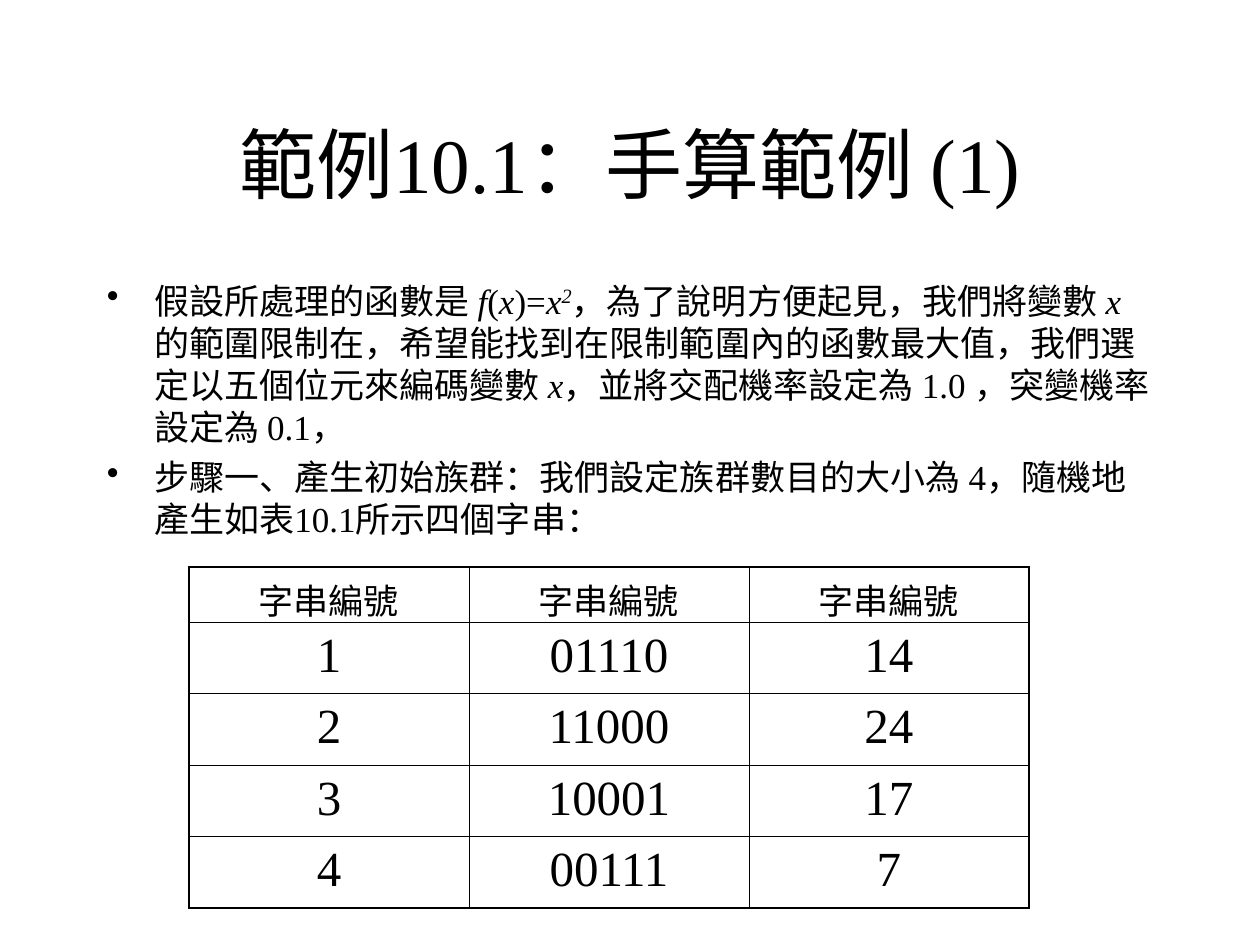
from lxml.etree import SubElement
from pptx import Presentation
from pptx.dml.color import RGBColor
from pptx.enum.text import MSO_ANCHOR, PP_ALIGN
from pptx.oxml.ns import qn
from pptx.util import Inches, Pt

BLACK = RGBColor(0, 0, 0)
WHITE = RGBColor(255, 255, 255)
FONT = "Times New Roman"
COLUMNS, ROWS = 120, 90
WIDTH, HEIGHT = Inches(10), Inches(7.5)
OUTER, INNER = Pt(1.08), Pt(0.45)

TITLE = "範例10.1：手算範例 (1)"
FUNCTION_PARTS = [
    ("假設所處理的函數是 ", ""),
    ("f", "italic"),
    ("(", ""),
    ("x", "italic"),
    (")=", ""),
    ("x", "italic"),
    ("2", "power"),
    ("，為了說明方便起見，我們將變數 ", ""),
    ("x ", "italic"),
    ("的範圍限制在，希望能找到在限制範圍內的函數最大值，我們選定以五個位元來編碼變數 ", ""),
    ("x", "italic"),
    ("，並將交配機率設定為 1.0 ，突變機率設定為 0.1，", ""),
]
STEP_PARTS = [
    ("步驟一、產生初始族群：我們設定族群數目的大小為 4，隨機地產生如表10.1所示四個字串：", ""),
]
STRINGS = [
    ("字串編號", "字串編號", "字串編號"),
    ("1", "01110", "14"),
    ("2", "11000", "24"),
    ("3", "10001", "17"),
    ("4", "00111", "7"),
]


def across(columns):
    return round(WIDTH * columns / COLUMNS)


def down(rows):
    return round(HEIGHT * rows / ROWS)


def style_span(span, size, kind=""):
    span.font.name = FONT
    span.font.size = Pt(size)
    span.font.color.rgb = BLACK
    span.font.italic = kind in ("italic", "power")
    if kind == "power":
        span.font._element.set("baseline", "30000")


def fill_centred(frame, text, size):
    frame.text = text
    para = frame.paragraphs[0]
    para.alignment = PP_ALIGN.CENTER
    style_span(para.runs[0], size)
    return para


def add_box(page, left, top, width, height):
    box = page.shapes.add_textbox(across(left), down(top), across(width), down(height))
    box.text_frame.word_wrap = True
    return box.text_frame


def add_title(page):
    frame = add_box(page, 9, 8, 102, 15)
    frame.vertical_anchor = MSO_ANCHOR.MIDDLE
    fill_centred(frame, TITLE, 44)


def write_bullet(para, parts):
    para.space_before = Pt(5)
    properties = para._p.get_or_add_pPr()
    indent = across(4.5)
    properties.set("marL", str(indent))
    properties.set("indent", str(-indent))
    SubElement(properties, qn("a:buChar"), char="•")
    for text, kind in parts:
        span = para.add_run()
        span.text = text
        style_span(span, 20, kind)


def add_body(page):
    frame = add_box(page, 9, 26, 102, 54)
    write_bullet(frame.paragraphs[0], FUNCTION_PARTS)
    write_bullet(frame.add_paragraph(), STEP_PARTS)


def draw_borders(cell, widths):
    properties = cell._tc.get_or_add_tcPr()
    for side, width in zip("LRTB", widths):
        line = SubElement(properties, qn(f"a:ln{side}"), w=str(width))
        fill = SubElement(line, qn("a:solidFill"))
        SubElement(fill, qn("a:srgbClr"), val=str(BLACK))


def add_strings_table(page):
    last_row, last_column = len(STRINGS) - 1, len(STRINGS[0]) - 1
    table = page.shapes.add_table(
        last_row + 1, last_column + 1, across(18), down(54), across(80), down(32.45)
    ).table
    table.first_row = table.horz_banding = False
    for column in table.columns:
        column.width = across(80 / 3)
    for r, values in enumerate(STRINGS):
        table.rows[r].height = down(6.8 if r else 5.25)
        for c, value in enumerate(values):
            cell = table.cell(r, c)
            para = fill_centred(cell.text_frame, value, 28 if r else 20)
            para.space_before = Pt(7 if r else 5)
            edges = (c == 0, c == last_column, r == 0, r == last_row)
            draw_borders(cell, [OUTER if edge else INNER for edge in edges])
            cell.fill.background()


def main():
    deck = Presentation()
    deck.slide_width, deck.slide_height = WIDTH, HEIGHT
    page = deck.slides.add_slide(deck.slide_layouts[6])
    page.background.fill.solid()
    page.background.fill.fore_color.rgb = WHITE
    add_title(page)
    add_body(page)
    add_strings_table(page)
    deck.save("out.pptx")


if __name__ == "__main__":
    main()
